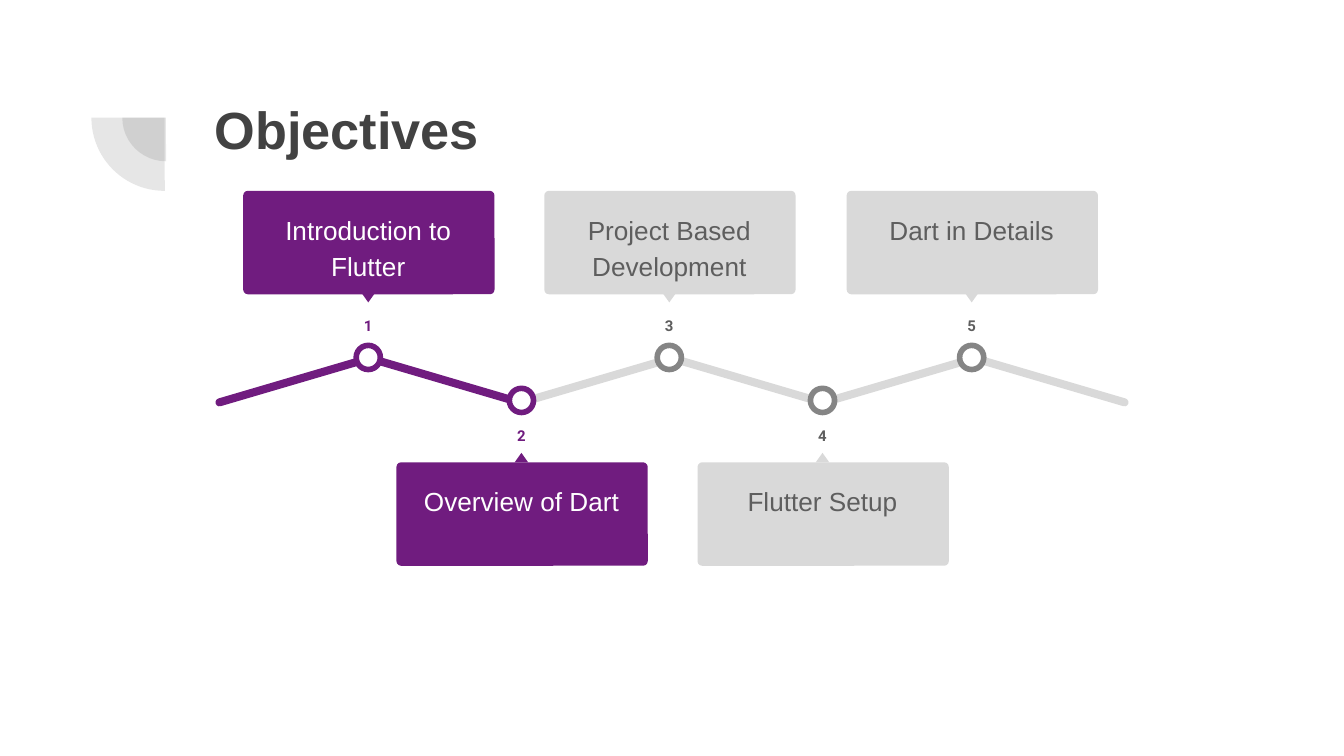
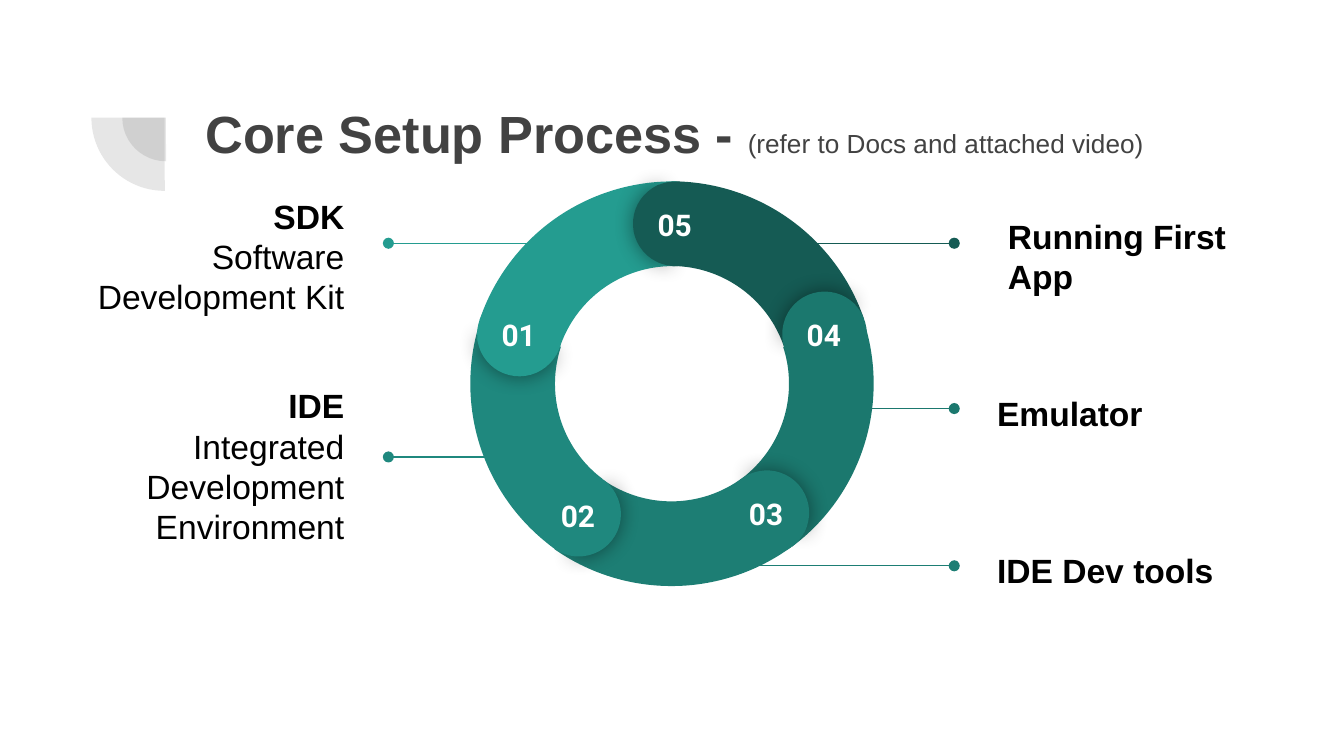
from typing import NamedTuple

from lxml.etree import SubElement
from pptx import Presentation
from pptx.dml.color import RGBColor
from pptx.enum.shapes import MSO_CONNECTOR as Link, MSO_SHAPE as Kind
from pptx.enum.text import MSO_ANCHOR as Anchor, PP_ALIGN as Align
from pptx.oxml.ns import qn
from pptx.shapes.autoshape import Shape
from pptx.slide import Slide
from pptx.util import Emu, Pt

SCALE = 9144  # 100 px to the inch
WIDTH = 1000
SANS, DIGIT = "Arial", "Roboto"
WHITE, BLACK, INK = "FFFFFF", "000000", "424242"
PURPLE, PALE, MID, DARK = "701C7F", "D9D9D9", "858585", "5E5E5E"
ARC, CAP = 303, 63


class Box(NamedTuple):
    x: int
    y: int
    w: int
    h: int


class Font(NamedTuple):
    size: int
    hue: str
    bold: bool = False
    face: str = SANS


class Stop(NamedTuple):
    label: str
    done: bool = False


class Row(NamedTuple):
    """Heights of the parts of a stop."""
    card: int
    tip: int
    digit: int
    ring: int
    turn: int


class Part(NamedTuple):
    """One fifth of the wheel: a bent band and its round cap."""
    num: str
    hue: str
    arc: tuple[int, int]
    spin: int
    cap: tuple[int, int]
    turn: float
    start: float = 210.04


class Note(NamedTuple):
    head: str
    body: str
    spot: tuple[int, int]
    side: Align
    line: tuple[int, int, int]  # start x, end x, y
    hue: str


UPPER = Row(142, 218, 225, 257, 180)
LOWER = Row(344, 337, 307, 289, 0)
STOPS = [
    Stop("Introduction to Flutter", True),
    Stop("Overview of Dart", True),
    Stop("Project Based Development"),
    Stop("Flutter Setup"),
    Stop("Dart in Details"),
]
PARTS = [
    Part("02", "1F887E", (350, 134), 277, (399, 351), 211.1),
    Part("04", "1B786E", (347, 134), 132, (582, 217), 67.1),
    Part("05", "155B54", (348, 135), 60, (471, 135), 357.1),
    Part("03", "1D7E74", (348, 133), 204, (539, 350), 139.1),
    Part("01", "249C90", (349, 135), 350, (355, 217), 284.1, 208.55),
]
NOTES = [
    Note("SDK", "Software Development Kit", (34, 153), Align.RIGHT,
         (423, 289, 181), "249C90"),
    Note("IDE", "Integrated Development Environment", (34, 309), Align.RIGHT,
         (391, 289, 340), "1F887E"),
    Note("IDE Dev tools", "", (732, 387), Align.LEFT,
         (509, 710, 421), "1D7E74"),
    Note("Running First App", "", (740, 153), Align.LEFT,
         (570, 710, 181), "155B54"),
    Note("Emulator", "", (732, 270), Align.LEFT,
         (614, 710, 304), "1B786E"),
]


def px(num: int) -> Emu:
    return Emu(num * SCALE)


def tint(hue: str) -> RGBColor:
    return RGBColor.from_string(hue)


def arcs(*angles: float) -> list[float]:
    """Turn degrees into adjustment values."""
    return [angle * 0.6 for angle in angles]


def draw(slide: Slide, kind: Kind, box: Box, hue: str, spin: float = 0,
         adj: list[float] | None = None) -> Shape:
    shape = slide.shapes.add_shape(kind, *map(px, box))
    shape.shadow.inherit = False
    shape.fill.solid()
    shape.fill.fore_color.rgb = tint(hue)
    shape.line.fill.background()
    shape.rotation = spin
    for i, value in enumerate(adj or []):
        shape.adjustments[i] = value
    return shape


def fade(shape: Shape, share: int) -> None:
    """Set the opacity of a fill, in percent."""
    color = shape.element.spPr.find(".//" + qn("a:srgbClr"))
    SubElement(color, qn("a:alpha"), val=str(share * 1000))


def glow(shape: Shape) -> None:
    """Give a soft dark shadow all round."""
    effects = shape.element.spPr.find(qn("a:effectLst"))
    outer = SubElement(effects, qn("a:outerShdw"), blurRad=str(Pt(11.2)),
                       dist="0", dir="0", algn="bl", rotWithShape="0")
    color = SubElement(outer, qn("a:srgbClr"), val=BLACK)
    SubElement(color, qn("a:alpha"), val="43000")


def style(run, font: Font) -> None:
    run.font.name = font.face
    run.font.size = Pt(font.size)
    run.font.bold = font.bold
    run.font.color.rgb = tint(font.hue)


def write(slide: Slide, box: Box, text: str, font: Font,
          side: Align = Align.CENTER, top: int = 10, bottom: int = 10):
    frame = slide.shapes.add_textbox(*map(px, box)).text_frame
    frame.word_wrap = True
    frame.margin_left = frame.margin_right = px(10)
    frame.margin_top, frame.margin_bottom = px(top), px(bottom)
    frame.text = text
    for para in frame.paragraphs:
        para.alignment = side
        for run in para.runs:
            style(run, font)
    return frame


def space(frame) -> None:
    para = frame.paragraphs[0]
    para.line_spacing = 1.15
    para.space_after = Pt(16)


def start(deck, title: str, x: int, y: int):
    """Add a slide with the corner mark and a title."""
    slide = deck.slides.add_slide(deck.slide_layouts[6])
    for box in (Box(91, 55, 65, 65), Box(68, 33, 109, 109)):
        fade(draw(slide, Kind.PIE, box, INK, 270, arcs(179.88, 270)), 13)
    frame = write(slide, Box(x, y, 769, 109), title, Font(28, INK, True),
                  Align.LEFT)
    return slide, frame


def mark(slide: Slide, i: int, stop: Stop) -> None:
    """Draw a stop of the path with its card."""
    mid = 274 + 449 * (i // 2) // 2 + 114 * (i % 2)
    row = LOWER if i % 2 else UPPER
    fill, edge, text, num = ((PURPLE, PURPLE, WHITE, PURPLE) if stop.done
                             else (PALE, MID, DARK, DARK))
    draw(slide, Kind.ROUNDED_RECTANGLE, Box(mid - 93, row.card, 187, 77),
         fill, adj=[0.045])
    draw(slide, Kind.ISOSCELES_TRIANGLE, Box(mid - 5, row.tip, 10, 7),
         fill, row.turn)
    ring = draw(slide, Kind.OVAL, Box(mid - 9, row.ring, 18, 18), WHITE, 330.2)
    ring.line.color.rgb = tint(edge)
    ring.line.width = Pt(3)
    space(write(slide, Box(mid - 38, row.digit, 76, 30), str(i + 1),
                Font(8, num, True, DIGIT), top=12))
    space(write(slide, Box(mid - 89, row.card + 4, 178, 68), stop.label,
                Font(14, text)))


def goals(deck) -> None:
    slide, _ = start(deck, "Objectives", 150, 62)
    for i in reversed(range(6)):
        draw(slide, Kind.ROUNDED_RECTANGLE, Box(158 + 225 * i // 2, 280, 122, 6),
             PURPLE if i < 2 else PALE, 16.4 if i % 2 else 343.6, [0.5])
    for i, stop in enumerate(STOPS):
        mark(slide, i, stop)


def point(slide: Slide, note: Note) -> None:
    """Draw a note and its line to the wheel."""
    left, right, y = note.line
    line = slide.shapes.add_connector(Link.STRAIGHT, px(left), px(y),
                                      px(right), px(y))
    line.line.color.rgb = tint(note.hue)
    line.line.width = Pt(0.75)
    props = line.element.spPr
    SubElement(props.find(qn("a:ln")), qn("a:tailEnd"), type="oval")
    SubElement(props, qn("a:effectLst"))
    text = "\n".join(filter(None, (note.head, note.body)))
    frame = write(slide, Box(*note.spot, 232, 101), text, Font(18, BLACK),
                  note.side, bottom=36)
    frame.vertical_anchor = Anchor.MIDDLE
    frame.paragraphs[0].runs[0].font.bold = True


def wheel(slide: Slide) -> None:
    for part in PARTS:
        draw(slide, Kind.BLOCK_ARC, Box(*part.arc, ARC, ARC), part.hue,
             part.spin, arcs(part.start, 281.13) + [CAP / ARC])
    for part in PARTS:
        box = Box(*part.cap, CAP, CAP)
        glow(draw(slide, Kind.PIE, box, part.hue, part.turn,
                  arcs(103.17, 249.94)))
        draw(slide, Kind.PIE, box, part.hue, (part.turn + 179.3) % 360,
             arcs(67.14, 286.39))
    for part in PARTS:
        x, y = part.cap
        write(slide, Box(x + 3, y + 9, 56, 29), part.num,
              Font(16, WHITE, True, DIGIT))


def setup(deck) -> None:
    slide, frame = start(deck, "Core Setup Process - ", 143, 65)
    run = frame.paragraphs[0].add_run()
    run.text = "(refer to Docs and attached video)"
    style(run, Font(14, INK))
    for note in NOTES:
        point(slide, note)
    wheel(slide)


def main() -> None:
    deck = Presentation()
    deck.slide_width = px(WIDTH)
    deck.slide_height = px(WIDTH) * 9 // 16
    goals(deck)
    setup(deck)
    deck.save("out.pptx")


if __name__ == "__main__":
    main()
